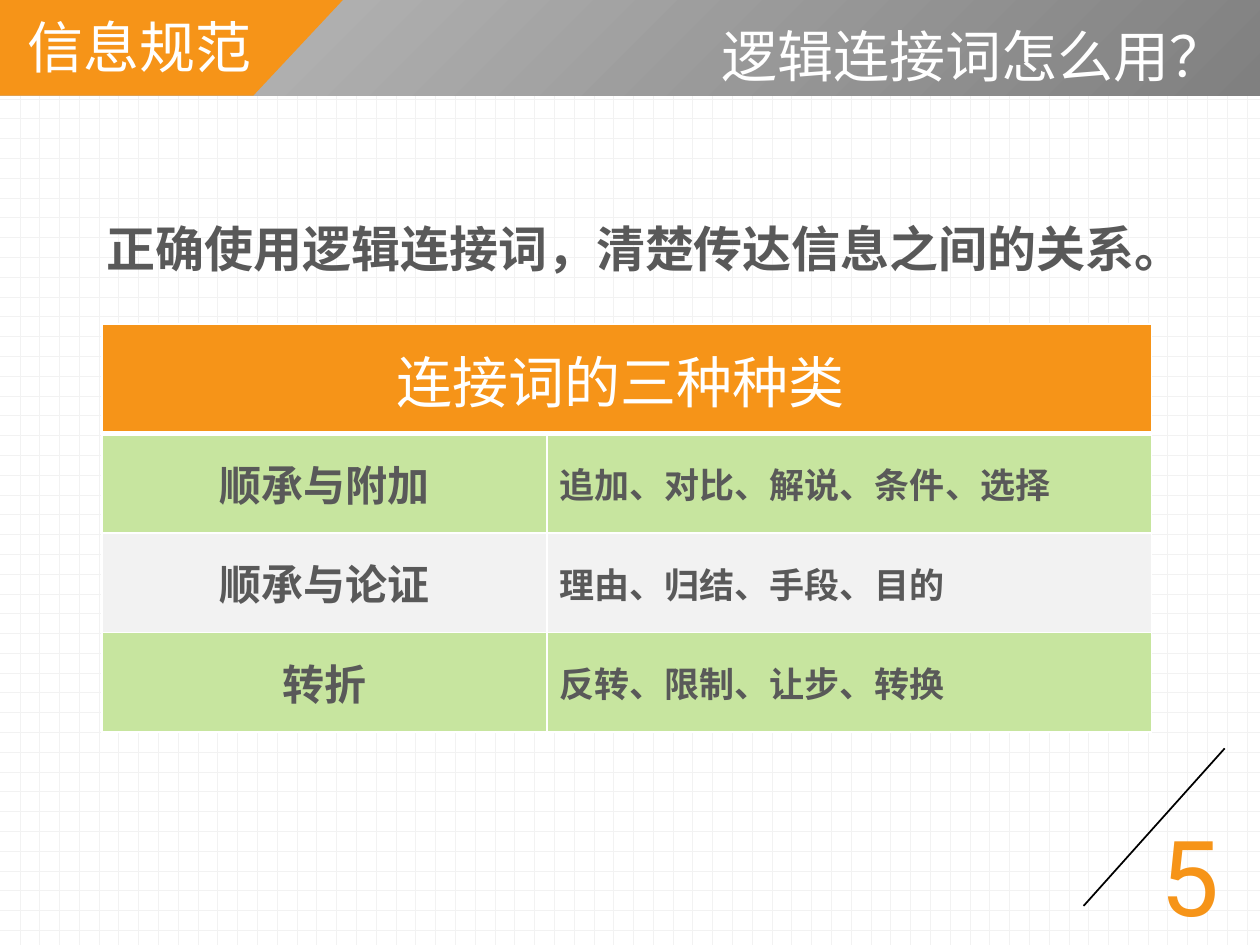
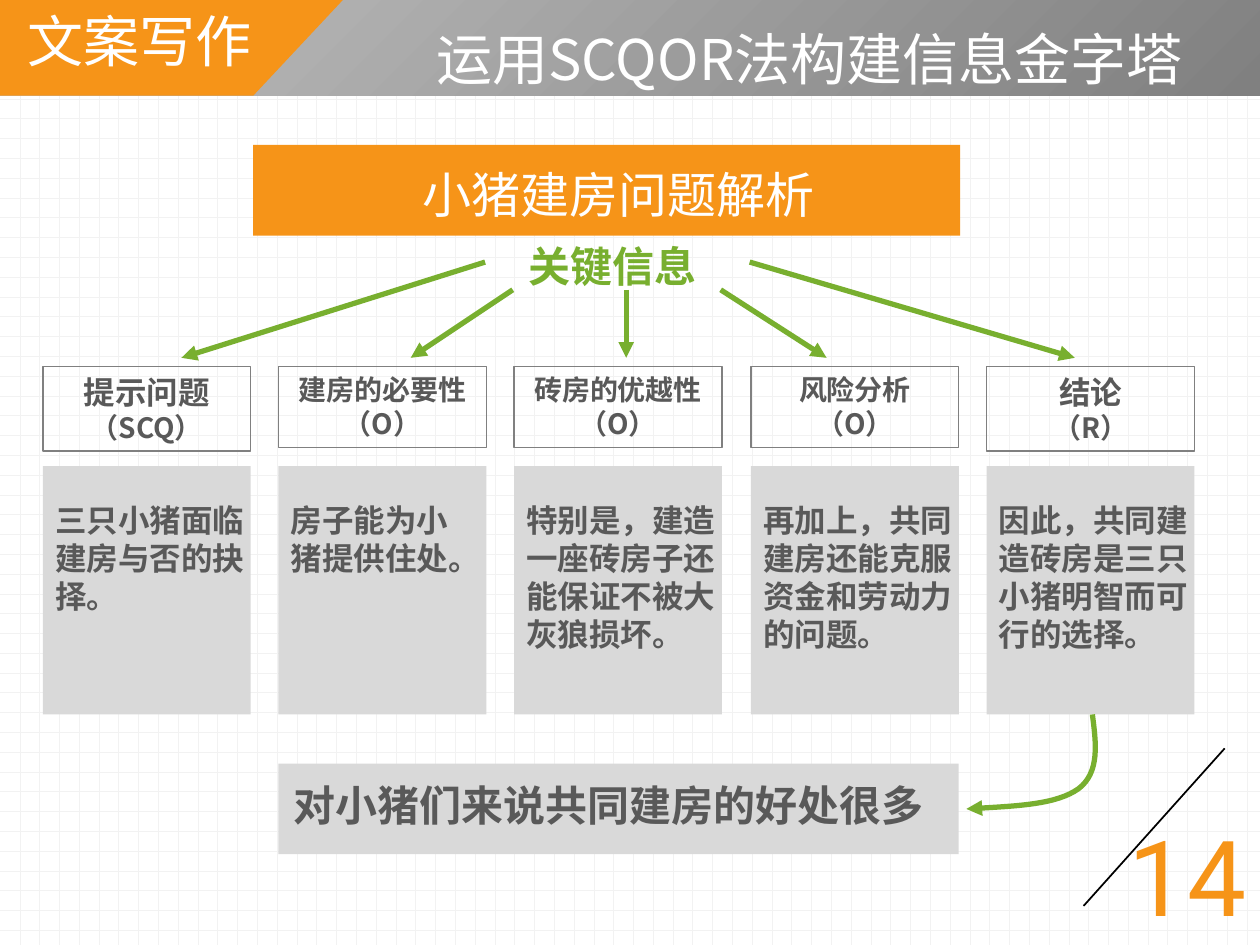
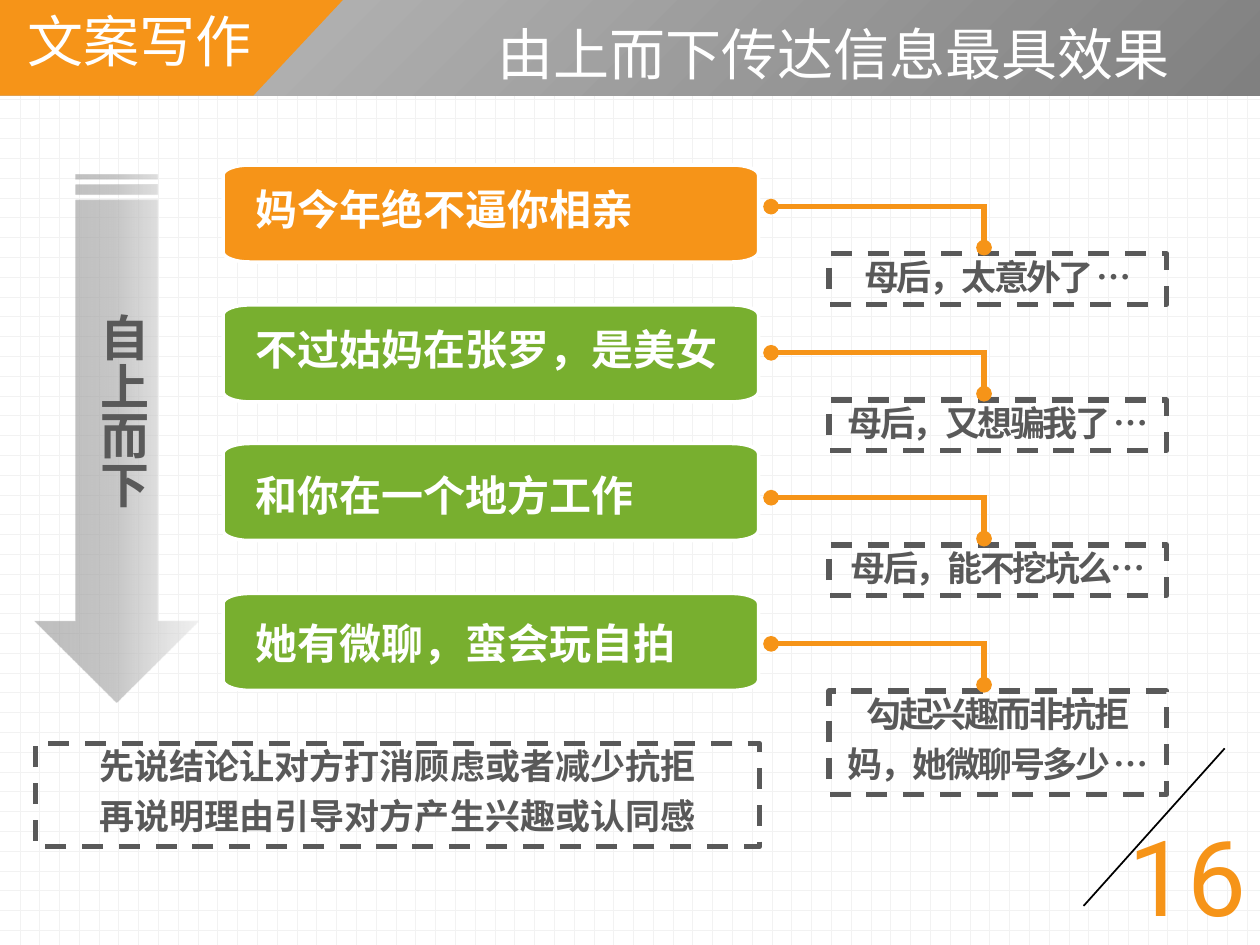
"""Build three slides on writing clear messages: connectives, the SCQOR pyramid and top-down delivery."""
from lxml import etree
from pptx import Presentation
from pptx import util as u
from pptx.dml.color import RGBColor
from pptx.enum import dml, shapes, text
from pptx.oxml import parse_xml
from pptx.oxml.ns import nsdecls, qn

ORANGE, GREEN, PALE_GREEN = "F69418", "78AF2F", "C7E59F"
WHITE, BLACK, INK, GRAY, PANEL, MIST = "FFFFFF", "000000", "595959", "808080", "D9D9D9", "F2F2F2"
SC, JP, ROBOTO = "Noto Sans CJK SC", "Noto Sans CJK JP", "Roboto"
ALIGN = {"l": text.PP_ALIGN.LEFT, "c": text.PP_ALIGN.CENTER, "r": text.PP_ALIGN.RIGHT}
TITLE = dict(size=32, color=WHITE, bold=False)

CONNECTIVES = [
    ("顺承与附加", "追加、对比、解说、条件、选择"),
    ("顺承与论证", "理由、归结、手段、目的"),
    ("转折", "反转、限制、让步、转换"),
]
STEPS = [
    ([("提示问题", 18), ("（SCQ）", 16)], "三只小猪面临建房与否的抉择。", (1.87, 1.01)),
    ([("建房的必要性 （O）", 16)], "房子能为小猪提供住处。", (1.65, 0.71)),
    ([("砖房的优越性 （O）", 16)], "特别是，建造一座砖房子还能保证不被大灰狼损坏。", (1.87, 1.31)),
    ([("风险分析", 16), ("（O）", 16)], "再加上，共同建房还能克服资金和劳动力的问题。", (1.87, 1.31)),
    ([("结论", 18), ("（R）", 16)], "因此，共同建造砖房是三只小猪明智而可行的选择。", (1.81, 1.31)),
]
KEY_ARROWS = [
    ((3.85, 2.08), (1.44, 2.84)),
    ((4.07, 2.3), (3.26, 2.84)),
    ((4.97, 2.3), (4.97, 2.84)),
    ((5.72, 2.3), (6.56, 2.84)),
    ((5.95, 2.08), (8.53, 2.84)),
]
MESSAGES = [
    (1.31, 1.41, 3.9, ORANGE, "妈今年绝不逼你相亲", ["母后，太意外了 …"]),
    (2.42, 2.52, 4.09, GREEN, "不过姑妈在张罗，是美女", ["母后，又想骗我了 …"]),
    (3.52, 3.68, 3.9, GREEN, "和你在一个地方工作", ["母后，能不挖坑么…"]),
    (4.71, 4.85, 3.9, GREEN, "她有微聊，蛮会玩自拍", ["勾起兴趣而非抗拒", "妈，她微聊号多少 …"]),
]
SUMMARY = ["先说结论让对方打消顾虑或者减少抗拒", "再说明理由引导对方产生兴趣或认同感"]


def rgb(color):
    return RGBColor.from_string(color)


def inches(values):
    return [u.Inches(v) for v in values]


def style_run(r, size, color=INK, bold=True, font=SC, spc=None):
    for name, value in dict(size=u.Pt(size), bold=bold, name=font).items():
        setattr(r.font, name, value)
    r.font.color.rgb = rgb(color)
    rPr = r._r.get_or_add_rPr()
    etree.SubElement(rPr, qn("a:ea"), typeface=font)
    if spc:
        rPr.set("spc", str(spc))


def write(sp, lines, size=18, align="l", spacing=None, after=None, anchor="TOP", grow=True, **look):
    """Fill a shape with lines, each a string or a (string, size) pair."""
    tf = sp.text_frame
    fit = text.MSO_AUTO_SIZE.SHAPE_TO_FIT_TEXT if grow else text.MSO_AUTO_SIZE.NONE
    formats = dict(word_wrap=True, auto_size=fit, vertical_anchor=getattr(text.MSO_ANCHOR, anchor))
    for name, value in formats.items():
        setattr(tf, name, value)
    for i, line in enumerate(lines):
        words, pt = line if isinstance(line, tuple) else (line, size)
        p = tf.add_paragraph() if i else tf.paragraphs[0]
        p.alignment = ALIGN[align]
        if spacing:
            p.line_spacing = spacing
        if after:
            p._p.get_or_add_pPr().append(parse_xml(
                f'<a:spcAft {nsdecls("a")}><a:spcPct val="{after}000"/></a:spcAft>'))
        r = p.add_run()
        r.text = words
        style_run(r, pt, **look)
    return sp


def label(s, box, words, **look):
    return write(s.shapes.add_textbox(*inches(box)), [words], **look)


def paint(sp, fill=None, line=None, width=1.0, dash=None):
    sp.shadow.inherit = False
    if fill:
        sp.fill.solid()
        sp.fill.fore_color.rgb = rgb(fill)
    else:
        sp.fill.background()
    if line:
        sp.line.color.rgb = rgb(line)
        sp.line.width = u.Pt(width)
        if dash:
            sp.line.dash_style = dash
    else:
        sp.line.fill.background()
    return sp


def block(s, box, kind="RECTANGLE", **look):
    return paint(s.shapes.add_shape(getattr(shapes.MSO_SHAPE, kind), *inches(box)), **look)


def gradient(sp, stops, direction):
    """Replace a shape's empty fill by a gradient of (position, colour, opacity) stops."""
    marks = "".join(
        f'<a:gs pos="{pos}000"><a:srgbClr val="{color}"><a:alpha val="{alpha}000"/></a:srgbClr></a:gs>'
        for pos, color, alpha in stops)
    xml = f'<a:gradFill {nsdecls("a")} rotWithShape="1"><a:gsLst>{marks}</a:gsLst>{direction}</a:gradFill>'
    spPr = sp._element.spPr
    spPr.replace(spPr.find(qn("a:noFill")), parse_xml(xml))


def tip(sp, end, kind):
    etree.SubElement(sp.line._get_or_add_ln(), qn(f"a:{end}"), type=kind)


def connect(s, start, stop, color, width, end=None, kind=None):
    sp = s.shapes.add_connector(shapes.MSO_CONNECTOR.STRAIGHT, *inches(start + stop))
    sp.line.color.rgb = rgb(color)
    sp.line.width = u.Pt(width)
    if end:
        tip(sp, end, kind)
    etree.SubElement(sp._element.spPr, qn("a:effectLst"))


def outline(s, start, segments, close=True, **look):
    """Draw an outline of straight (one point) and curved (three points) segments."""
    builder = s.shapes.build_freeform(*inches(start))
    builder.add_line_segments([inches(segment[-1]) for segment in segments], close=close)
    sp = builder.convert_to_shape()
    path = next(sp._element.iter(qn("a:path")))
    for straight, segment in zip(path.findall(qn("a:lnTo")), segments):
        if len(segment) == 3:
            curve = etree.Element(qn("a:cubicBezTo"))
            for x, y in map(inches, segment):
                etree.SubElement(curve, qn("a:pt"), x=str(x - sp.left), y=str(y - sp.top))
            path.replace(straight, curve)
    return paint(sp, **look)


def new_slide(prs, section, section_box, number):
    """Add a slide with the grid, header band, section name and page number."""
    s = prs.slides.add_slide(prs.slide_layouts[6])
    fill = s.background.fill
    fill.patterned()
    fill.pattern = dml.MSO_PATTERN.DOTTED_GRID
    fill.fore_color.rgb, fill.back_color.rgb = rgb(MIST), rgb(WHITE)
    connect(s, (9.72, 5.94), (8.6, 7.19), BLACK, 1)
    gradient(block(s, (0, 0, 10, 0.76)), [(0, GRAY, 100), (100, "BFBFBF", 100)],
             '<a:path path="circle"><a:fillToRect l="100000" t="100000"/></a:path>')
    outline(s, (-0.03, 0.76), [
        [(-0.03, 0.5), (-0.03, 0.24), (-0.02, -0.02)],
        [(2.74, -0.02)],
        [(2.01, 0.76)],
        [(-0.03, 0.76)],
    ], fill=ORANGE)
    label(s, section_box, section, font=JP, **TITLE)
    box = (9.11, 6.39, 0.7, 1.11) if number < 10 else (8.86, 6.39, 1.34, 1.11)
    label(s, box, str(number), size=60, color=ORANGE, bold=False, font=ROBOTO)
    return s


def set_cell(cell, words, fill, align="l", bottom=1, **look):
    cell.fill.solid()
    cell.fill.fore_color.rgb = rgb(fill)
    cell.vertical_anchor = text.MSO_ANCHOR.MIDDLE
    p = cell.text_frame.paragraphs[0]
    p.alignment = ALIGN[align]
    if words:
        r = p.add_run()
        r.text = words
        style_run(r, **look)
    for i, (side, width) in enumerate(zip("LRTB", (1, 1, 1, bottom))):
        cell._tc.get_or_add_tcPr().insert(i, parse_xml(
            f'<a:ln{side} {nsdecls("a")} w="{u.Pt(width)}"><a:solidFill><a:srgbClr val="{WHITE}"/>'
            f'</a:solidFill></a:ln{side}>'))


def connectives_slide(prs):
    s = new_slide(prs, "信息规范", (0.12, 0.05, 3.62, 0.64), 5)
    label(s, (5.63, 0.12, 5.31, 0.64), "逻辑连接词怎么用？", **TITLE)
    lead = label(s, (0.75, 1.31, 9.64, 2.05), "正确使用逻辑连接词，清楚传达信息之间的关系。",
                 size=28, anchor="MIDDLE", grow=False)
    lead.text_frame.margin_bottom = u.Inches(0.78)
    table = s.shapes.add_table(4, 2, *inches((0.81, 2.57, 8.33, 3.24))).table
    for col, width in zip(table.columns, (3.53, 4.8)):
        col.width = u.Inches(width)
    for row, height in zip(table.rows, (0.87, 0.79, 0.79, 0.79)):
        row.height = u.Inches(height)
    table.cell(0, 0).merge(table.cell(0, 1))
    set_cell(table.cell(0, 0), "连接词的三种种类 ", ORANGE, "c", bottom=3, font=JP, **TITLE)
    set_cell(table.cell(0, 1), "", ORANGE, bottom=3)
    for i, (kind, examples) in enumerate(CONNECTIVES, 1):
        fill = PALE_GREEN if i % 2 else MIST
        set_cell(table.cell(i, 0), kind, fill, "c", size=24)
        set_cell(table.cell(i, 1), examples, fill, size=20)


def pyramid_slide(prs):
    s = new_slide(prs, "文案写作", (0.12, 0, 2.44, 0.64), 14)
    label(s, (2.01, 0, 7.48, 0.92), "运用SCQOR法构建信息金字塔", align="r", anchor="MIDDLE", grow=False, **TITLE)
    block(s, (2.01, 1.15, 5.61, 0.72), fill=ORANGE)
    label(s, (2.1, 1.26, 5.62, 0.57), "小猪建房问题解析", size=28, align="c", color=WHITE, bold=False)
    label(s, (3.86, 1.86, 2, 0.5), "关键信息", size=24, align="c", color=GREEN)
    for start, stop in KEY_ARROWS:
        connect(s, start, stop, GREEN, 3, "tailEnd", "triangle")
    for i, (heading, detail, size) in enumerate(STEPS):
        x = round(0.336 + i * 1.874, 2)
        height = 0.67 if heading[0][1] == 18 else 0.64
        write(block(s, (x, 2.91, 1.65, height), line=GRAY, width=0.75), heading, align="c")
        block(s, (x, 3.7, 1.65, 1.97), fill=PANEL)
        label(s, (x, 3.93, *size), detail)
    block(s, (2.21, 6.06, 5.4, 0.72), fill=PANEL)
    label(s, (2.23, 6.14, 5.29, 0.5), "对小猪们来说共同建房的好处很多", size=24)
    bend = outline(s, (8.67, 5.67), [
        [(8.7, 5.9), (8.73, 6.13), (8.56, 6.26)],
        [(8.39, 6.38), (8.03, 6.4), (7.67, 6.42)],
    ], close=False, line=GREEN, width=3)
    tip(bend, "tailEnd", "triangle")


def bar(s, top, fill):
    """Draw a message bar with flat rounded corners."""
    x0, x1, y0, y1, rx, ry = 1.77, 6.02, top, top + 0.77, 0.21, 0.08
    kx, ky = rx * 0.45, ry * 0.45
    outline(s, (x0, y0 + ry), [
        [(x0, y0 + ky), (x0 + kx, y0), (x0 + rx, y0)],
        [(x1 - rx, y0)],
        [(x1 - kx, y0), (x1, y0 + ky), (x1, y0 + ry)],
        [(x1, y1 - ry)],
        [(x1, y1 - ky), (x1 - kx, y1), (x1 - rx, y1)],
        [(x0 + rx, y1)],
        [(x0 + kx, y1), (x0, y1 - ky), (x0, y1 - ry)],
        [(x0, y0 + ry)],
    ], fill=fill, line=WHITE, width=2)


def dashed_note(s, x, y, width, lines, **look):
    sp = block(s, (x, y, width, 0.42 * len(lines) - 0.02), line=INK, width=3, dash=dml.MSO_LINE.DASH)
    write(sp, lines, size=20, align="c", spacing=0.9, after=35, **look)


def top_down_slide(prs):
    s = new_slide(prs, "文案写作", (0.12, 0, 2.44, 0.64), 16)
    label(s, (3.74, 0, 5.76, 0.84), "由上而下传达信息最具效果", align="c", anchor="MIDDLE", grow=False, **TITLE)
    arrow = block(s, (-1.17, 2.83, 4.19, 1.3), "STRIPED_RIGHT_ARROW")
    arrow.rotation = 90
    arrow._element.spPr.find(qn("a:xfrm")).set("flipV", "1")
    gradient(arrow, [(0, GRAY, 49), (50, "B0B0B0", 70), (100, "E4E4E4", 52)], '<a:lin ang="5400000"/>')
    down = label(s, (0.59, 2.39, 0.67, 2.44), "自上而下", size=28)
    down.text_frame._txBody.bodyPr.set("vert", "eaVert")
    for i, (top, words_top, width, fill, words, reply) in enumerate(MESSAGES):
        y = round(1.64 + i * 1.156, 2)
        bar(s, top, fill)
        label(s, (1.93, words_top, width, 0.5), words, size=24, color=WHITE)
        dashed_note(s, 6.58, y + 0.375, 2.68, reply, spc=-150)
        for start, stop in (((6.12, y), (7.83, y)), ((7.81, y + 0.325), (7.81, y))):
            connect(s, start, stop, ORANGE, 3, "headEnd", "oval")
    dashed_note(s, 0.28, 5.9, 5.75, SUMMARY)


def main():
    prs = Presentation()
    prs.slide_width, prs.slide_height = inches((10, 7.5))
    for build in (connectives_slide, pyramid_slide, top_down_slide):
        build(prs)
    prs.save("out.pptx")


if __name__ == "__main__":
    main()
